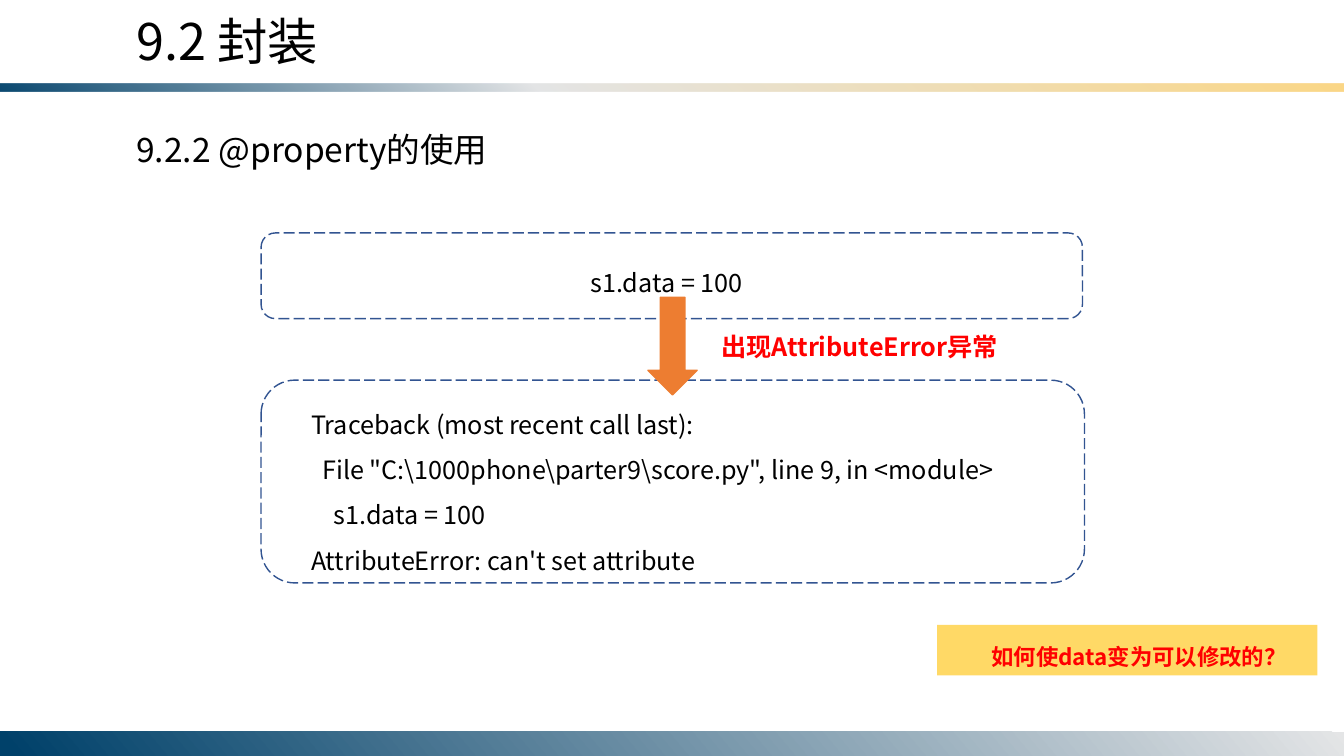
from dataclasses import dataclass

from lxml.etree import SubElement
from pptx import Presentation
from pptx.dml.color import RGBColor
from pptx.enum.dml import MSO_LINE
from pptx.enum.shapes import MSO_SHAPE
from pptx.enum.text import MSO_ANCHOR, MSO_AUTO_SIZE, PP_ALIGN
from pptx.oxml.ns import qn
from pptx.shapes.autoshape import Shape
from pptx.slide import Slide
from pptx.util import Cm, Pt


@dataclass(frozen=True)
class Theme:
    font: str = "Noto Sans CJK SC"
    ink: str = "000000"
    alert: str = "FF0000"
    frame: str = "325491"
    arrow: str = "ED7D31"
    note: str = "FFD966"
    navy: str = "00416A"
    mist: str = "E4E5E6"
    sand: str = "FBD786"
    title: int = 36
    head: int = 24
    code: int = 18
    ask: int = 16


@dataclass(frozen=True)
class Box:
    left: float
    top: float
    width: float
    height: float


@dataclass(frozen=True)
class Stop:
    place: int
    color: str
    alpha: int = 100


@dataclass(frozen=True)
class Bar:
    box: Box
    stops: tuple[Stop, ...]
    angle: int
    flip: bool = False


@dataclass(frozen=True)
class Label:
    box: Box
    text: str
    size: int
    color: str
    bold: bool = False
    lines: float = 1.0
    indent: float = 0


THEME = Theme()
WIDTH, HEIGHT = 33.87, 19.05

BARS = (
    Bar(Box(0, 2.11, WIDTH, 0.2),
        (Stop(0, THEME.navy, 95), Stop(40, THEME.mist), Stop(100, THEME.sand)),
        50, True),
    Bar(Box(0, 18.44, WIDTH, 0.61),
        (Stop(0, THEME.mist), Stop(99, THEME.navy)), 140),
)
FRAMES = (Box(6.58, 5.87, 20.7, 2.16), Box(6.58, 9.58, 20.75, 5.11))
ARROW = Box(16.33, 7.49, 1.24, 2.46)

TITLE = Label(Box(3.18, 0.13, 15.54, 1.8), "9.2 封装", THEME.title, THEME.ink)
HEAD = Label(Box(3.18, 3.12, 13.11, 1.27), "9.2.2 @property的使用",
             THEME.head, THEME.ink)
ASK = Label(Box(23.62, 15.75, 9.58, 1.27), "如何使data变为可以修改的？",
            THEME.ask, THEME.alert, True, 1.5, 1.12)
TRACE = r"""Traceback (most recent call last):
  File "C:\1000phone\parter9\score.py", line 9, in <module>
    s1.data = 100
AttributeError: can't set attribute"""
LABELS = (
    Label(Box(7.59, 9.8, 18.85, 4.88), TRACE, THEME.code, THEME.ink, lines=1.5),
    Label(Box(14.63, 6.22, 4.67, 1.4), "s1.data = 100",
          THEME.code, THEME.ink, lines=1.5),
    Label(Box(17.93, 8.23, 8.51, 1.02), "出现AttributeError异常",
          THEME.code, THEME.alert, True),
)


def span(box: Box) -> tuple[Cm, Cm, Cm, Cm]:
    return Cm(box.left), Cm(box.top), Cm(box.width), Cm(box.height)


def write(shape: Shape, label: Label) -> None:
    shape.left, shape.top, shape.width, shape.height = span(label.box)
    frame = shape.text_frame
    frame.text = label.text
    frame.word_wrap = True
    frame.auto_size = MSO_AUTO_SIZE.NONE
    frame.vertical_anchor = MSO_ANCHOR.TOP
    for line in frame.paragraphs:
        props = line._p.get_or_add_pPr()
        props.set("marL", "0")
        props.set("indent", str(Cm(label.indent)))
        SubElement(props, qn("a:buNone"))
        line.alignment = PP_ALIGN.LEFT
        line.line_spacing = label.lines
        line.space_before = Pt(0)
        for run in line.runs:
            font = run.font
            font.name = THEME.font
            font.size = Pt(label.size)
            font.bold = label.bold
            font.color.rgb = RGBColor.from_string(label.color)
            east = SubElement(run._r.get_or_add_rPr(), qn("a:ea"))
            east.set("typeface", THEME.font)


def draw(slide: Slide, kind: MSO_SHAPE, box: Box, fill: str = "",
         line: str = "") -> Shape:
    shape = slide.shapes.add_shape(kind, *span(box))
    shape.shadow.inherit = False
    if fill:
        shape.fill.solid()
        shape.fill.fore_color.rgb = RGBColor.from_string(fill)
    else:
        shape.fill.background()
    if line:
        shape.line.color.rgb = RGBColor.from_string(line)
        shape.line.width = Pt(1)
    else:
        shape.line.fill.background()
    return shape


def blend(slide: Slide, bar: Bar) -> None:
    shape = draw(slide, MSO_SHAPE.RECTANGLE, bar.box)
    shape.fill.gradient()
    props = shape._element.spPr
    if bar.flip:
        props.find(qn("a:xfrm")).set("flipV", "1")
    grad = props.find(qn("a:gradFill"))
    for child in list(grad):
        grad.remove(child)
    stops = SubElement(grad, qn("a:gsLst"))
    for stop in bar.stops:
        node = SubElement(stops, qn("a:gs"), pos=str(stop.place * 1000))
        color = SubElement(node, qn("a:srgbClr"), val=stop.color)
        if stop.alpha < 100:
            SubElement(color, qn("a:alpha"), val=str(stop.alpha * 1000))
    SubElement(grad, qn("a:lin"), ang=str(bar.angle * 60000), scaled="0")


def main() -> None:
    deck = Presentation()
    deck.slide_width, deck.slide_height = Cm(WIDTH), Cm(HEIGHT)
    slide = deck.slides.add_slide(deck.slide_layouts[1])
    for bar in BARS:
        blend(slide, bar)
    write(slide.shapes.title, TITLE)
    write(slide.placeholders[1], HEAD)
    for box in FRAMES:
        frame = draw(slide, MSO_SHAPE.ROUNDED_RECTANGLE, box, line=THEME.frame)
        frame.line.dash_style = MSO_LINE.LONG_DASH
    draw(slide, MSO_SHAPE.DOWN_ARROW, ARROW, THEME.arrow, THEME.arrow)
    write(draw(slide, MSO_SHAPE.RECTANGLE, ASK.box, THEME.note), ASK)
    for label in LABELS:
        write(slide.shapes.add_textbox(*span(label.box)), label)
    deck.save("out.pptx")


if __name__ == "__main__":
    main()
